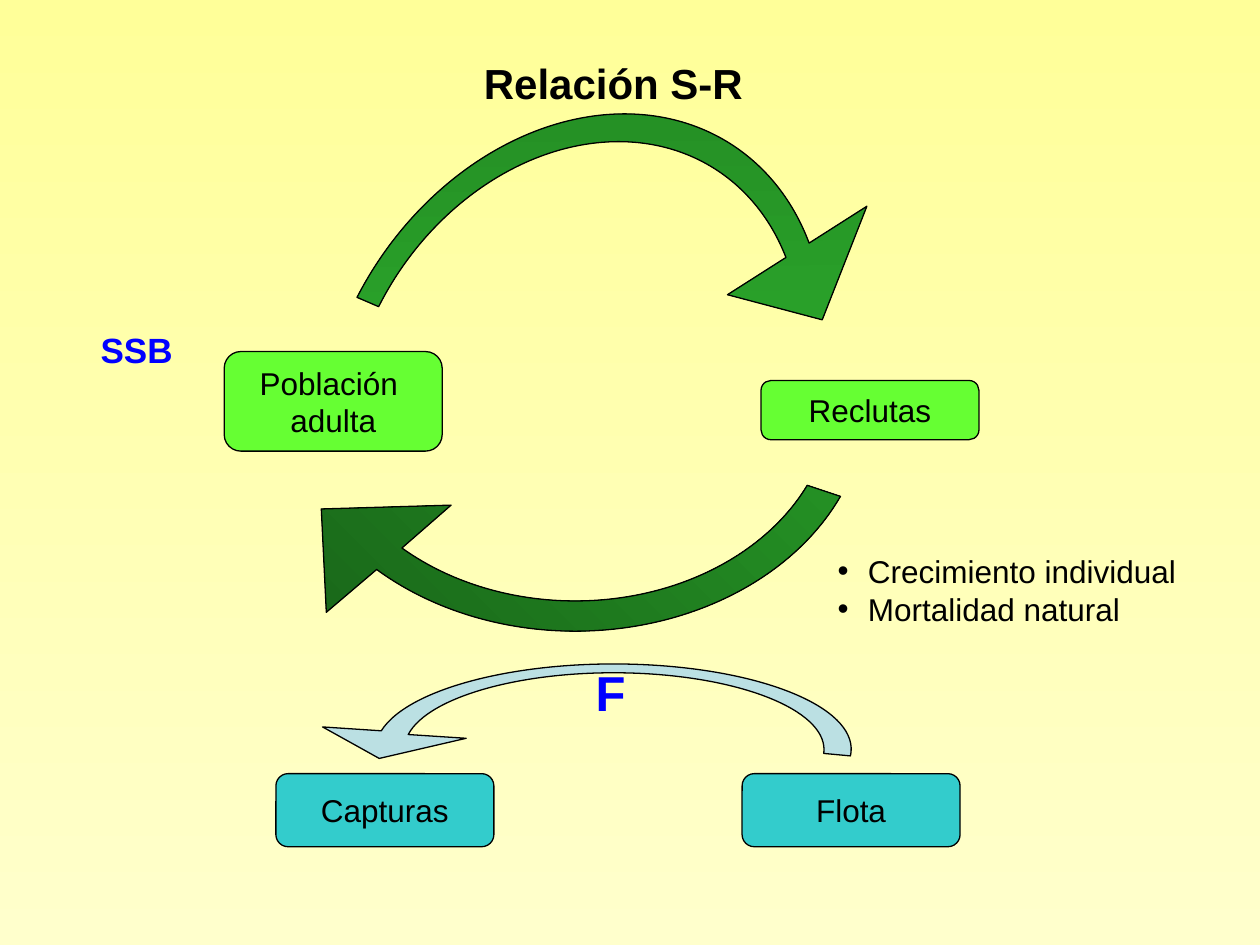
import math
from lxml import etree
from pptx import Presentation
from pptx.dml.color import RGBColor
from pptx.enum import shapes, text
from pptx.oxml.ns import qn
from pptx.util import Inches, Pt

COLORS = {
    "black": "000000", "blue": "0000FF", "lime": "66FF33", "teal": "33CCCC",
    "pale": "BBE0E3", "sky_top": "FFFF99", "sky_bottom": "FFFFCC",
    "deep": "196619", "forest": "238923", "leaf": "2AA52A", "bright": "33C533",
}
FONT = "Arial"
BOX_WIDTH = 1.73
ARC_PARTS = 2

TITLE = ("Relación S-R", (3.74, 0.41, 2.35, 0.5), 24)
BOXES = [
    (["Población ", "adulta"], 1.78, 2.79, 0.79, "lime"),
    (["Reclutas"], 6.04, 3.02, 0.47, "lime"),
    (["Flota"], 5.89, 6.14, 0.58, "teal"),
    (["Capturas"], 2.19, 6.14, 0.58, "teal"),
]
LABELS = [
    ("F", (4.63, 5.21, 0.44, 0.57), 28),
    ("SSB", (0.7, 2.56, 0.77, 0.44), 20),
]
PROCESSES = ["Crecimiento individual", "Mortalidad natural"]
ARROWS = [
    dict(frame=(2.24, 1.31, 4.65, 3.7), inner=(2.04, 1.61), rotation=0,
         outer_ends=[(6.67, 3.94), (2.99, 4.52)],
         inner_ends=[(3.19, 4.35), (6.4, 3.85)],
         head=[(2.59, 4.86), (2.55, 4.04), (3.58, 4.01)],
         colors=["deep", "leaf"], angle=45),
    dict(frame=(2.22, 1.25, 4.65, 3.7), inner=(2.09, 1.67), rotation=122.8,
         outer_ends=[(4.85, 4.94), (2.55, 2.16)],
         inner_ends=[(2.74, 2.25), (4.82, 4.76)],
         head=[(2.05, 1.93), (3, 1.74), (3.24, 2.48)],
         colors=["forest", "bright"], angle=33),
    dict(frame=(2.98, 5.27, 3.78, 1.36), inner=(1.67, 0.61), rotation=0,
         outer_ends=[(6.75, 6), (3.02, 5.8)],
         inner_ends=[(3.24, 5.83), (6.53, 5.98)],
         head=[(2.56, 5.77), (3.01, 6.02), (3.7, 5.86)],
         colors=["pale"], angle=0),
]


def rgb(name):
    return RGBColor.from_string(COLORS[name])


def paint(fill, names, angle=0):
    if len(names) == 1:
        fill.solid()
        fill.fore_color.rgb = rgb(names[0])
        return
    fill.gradient()
    fill.gradient_angle = angle
    for stop, name in zip(fill.gradient_stops, names):
        stop.color.rgb = rgb(name)


def style_shape(shape, names, angle=0):
    shape.shadow.inherit = False
    paint(shape.fill, names, angle)
    shape.line.color.rgb = rgb("black")
    shape.line.width = Pt(0.75)


def write(shape, lines, size, color="black", bold=False, align="LEFT",
          anchor="TOP", wrap=False, grow=True):
    frame = shape.text_frame
    frame.text = "\n".join(lines)
    frame.word_wrap = wrap
    frame.vertical_anchor = getattr(text.MSO_ANCHOR, anchor)
    if grow:
        frame.auto_size = text.MSO_AUTO_SIZE.SHAPE_TO_FIT_TEXT
    for paragraph in frame.paragraphs:
        paragraph.alignment = getattr(text.PP_ALIGN, align)
        for run in paragraph.runs:
            run.font.name = FONT
            run.font.size = Pt(size)
            run.font.bold = bold
            run.font.color.rgb = rgb(color)


def add_bullet(paragraph):
    properties = paragraph._p.get_or_add_pPr()
    properties.set("marL", str(Inches(0.24)))
    properties.set("indent", str(-Inches(0.24)))
    etree.SubElement(properties, qn("a:buFont")).set("typeface", FONT)
    etree.SubElement(properties, qn("a:buChar")).set("char", "•")


def arc_curves(center, radii, ends):
    start, end = (math.atan2((y - center[1]) / radii[1], (x - center[0]) / radii[0])
                  for x, y in ends)
    step = math.remainder(end - start, math.tau) / ARC_PARTS
    pull = 4 / 3 * math.tan(step / 4)

    def place(angle, tangent):
        x = math.cos(angle) - tangent * math.sin(angle)
        y = math.sin(angle) + tangent * math.cos(angle)
        return center[0] + radii[0] * x, center[1] + radii[1] * y

    return [("cubicBezTo", [place(angle, pull), place(angle + step, -pull),
                            place(angle + step, 0)])
            for angle in (start + step * part for part in range(ARC_PARTS))]


def add_arrow(slide, arrow):
    left, top, width, height = arrow["frame"]
    center = (left + width / 2, top + height / 2)
    outer_ends, inner_ends = arrow["outer_ends"], arrow["inner_ends"]
    commands = [("moveTo", outer_ends[:1])]
    commands += arc_curves(center, (width / 2, height / 2), outer_ends)
    commands += [("lnTo", [point]) for point in arrow["head"] + inner_ends[:1]]
    commands += arc_curves(center, arrow["inner"], inner_ends)
    commands.append(("close", []))

    builder = slide.shapes.build_freeform(Inches(left), Inches(top))
    builder.add_line_segments([(Inches(left + width), Inches(top + height))])
    shape = builder.convert_to_shape()
    outline = shape._element.find(".//" + qn("a:path"))
    for child in list(outline):
        outline.remove(child)
    for command, points in commands:
        node = etree.SubElement(outline, qn("a:" + command))
        for x, y in points:
            point = etree.SubElement(node, qn("a:pt"))
            point.set("x", str(Inches(x - left)))
            point.set("y", str(Inches(y - top)))
    shape.rotation = arrow["rotation"]
    style_shape(shape, arrow["colors"], arrow["angle"])


def main():
    presentation = Presentation()
    presentation.slide_width, presentation.slide_height = Inches(10), Inches(7.5)
    slide = presentation.slides.add_slide(presentation.slide_layouts[5])
    paint(slide.background.fill, ["sky_top", "sky_bottom"], 270)

    title = slide.shapes.title
    words, place, size = TITLE
    title.left, title.top, title.width, title.height = map(Inches, place)
    write(title, [words], size, bold=True)

    for arrow in ARROWS:
        add_arrow(slide, arrow)

    for lines, left, top, height, color in BOXES:
        box = slide.shapes.add_shape(
            shapes.MSO_SHAPE.ROUNDED_RECTANGLE,
            *map(Inches, (left, top, BOX_WIDTH, height)))
        style_shape(box, [color])
        write(box, lines, 18, align="CENTER", anchor="MIDDLE", grow=False)

    for words, place, size in LABELS:
        label = slide.shapes.add_textbox(*map(Inches, place))
        write(label, [words], size, color="blue", bold=True)

    processes = slide.shapes.add_textbox(*map(Inches, (6.55, 4.33, 3.17, 0.7)))
    write(processes, PROCESSES, 18, wrap=True)
    for paragraph in processes.text_frame.paragraphs:
        add_bullet(paragraph)

    presentation.save("out.pptx")


if __name__ == "__main__":
    main()
